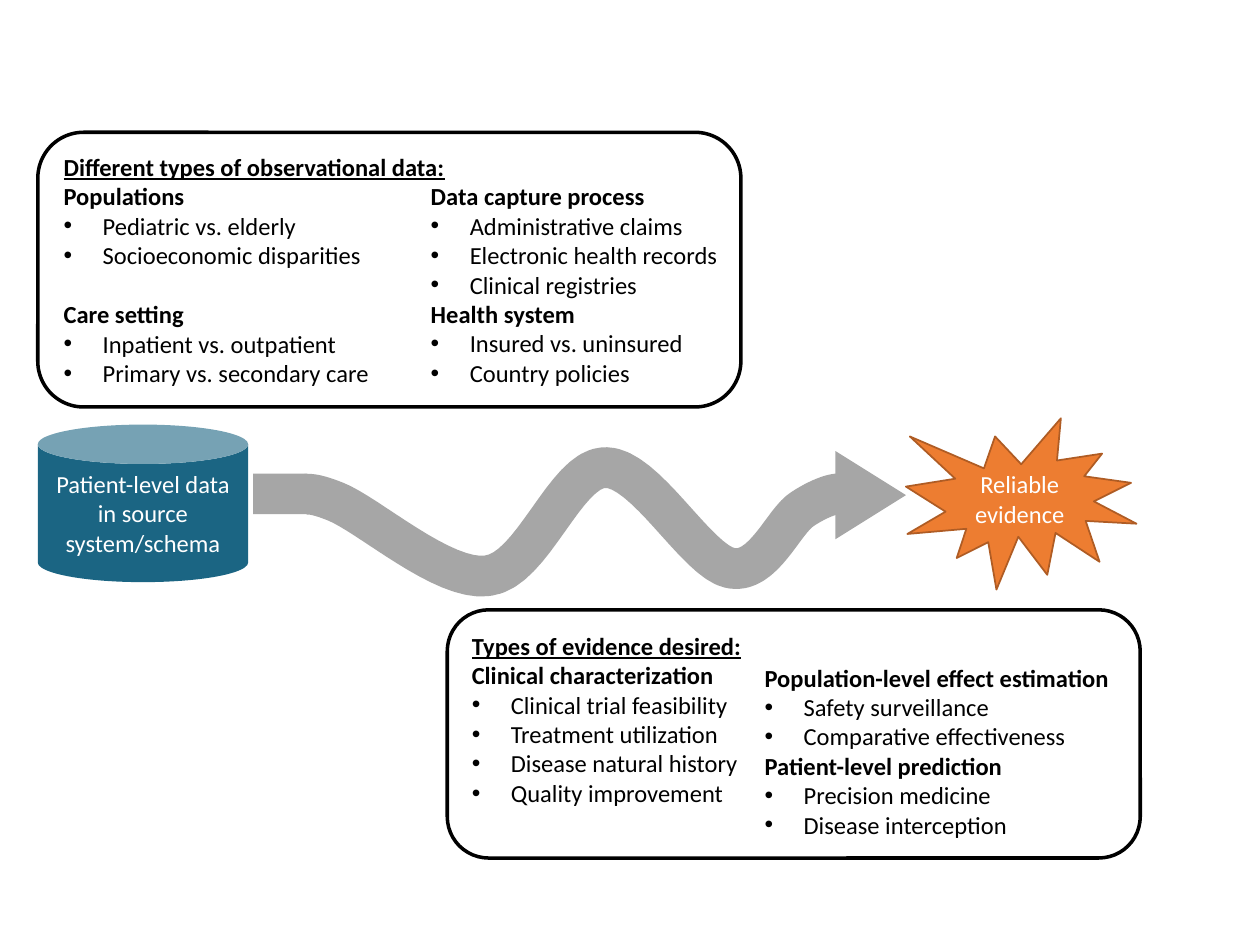
from lxml import etree
from pptx import Presentation
from pptx import util as u
from pptx.dml import color
from pptx.enum import shapes, text
from pptx.oxml import ns

Inches = u.Inches
SHAPE = shapes.MSO_SHAPE
COLORS = {"black": "000000", "white": "FFFFFF", "blue": "1B6583",
          "orange": "ED7D31", "rust": "AF5C24", "gray": "A6A6A6"}


def rgb(name):
    return color.RGBColor.from_string(COLORS[name])


def add_text(tf, value, ink="black", bold=False, underline=False, bullet=False,
             align=text.PP_ALIGN.LEFT, before=0):
    p = tf.paragraphs[0] if not tf.text else tf.add_paragraph()
    p.alignment = align
    p.space_before = u.Pt(before)
    r = p.add_run()
    r.text = value
    r.font.name, r.font.size = "Calibri", u.Pt(14)
    r.font.bold, r.font.underline = bold, underline
    r.font.color.rgb = rgb(ink)
    if bullet:
        pPr = p._p.get_or_add_pPr()
        pPr.set("marL", str(Inches(0.31)))
        pPr.set("indent", str(-Inches(0.31)))
        etree.SubElement(pPr, ns.qn("a:buFont"), typeface="Arial")
        etree.SubElement(pPr, ns.qn("a:buChar"), char="•")


prs = Presentation()
prs.slide_width, prs.slide_height = Inches(10), Inches(7.5)
s = prs.slides.add_slide(prs.slide_layouts[6])

panels = [
    ((0.3, 1.05, 5.58, 2.18), (3.32, 1.39, 3.15, 2.05), 0.05,
     "Different types of observational data:",
     [("Populations", 0, ["Pediatric vs. elderly", "Socioeconomic disparities"]),
      ("Care setting", 17, ["Inpatient vs. outpatient", "Primary vs. secondary care"])],
     [("Data capture process", 0, ["Administrative claims", "Electronic health records",
                                   "Clinical registries"]),
      ("Health system", 0, ["Insured vs. uninsured", "Country policies"])]),
    ((3.55, 4.84, 5.5, 1.97), (5.97, 5.21, 3.2, 1.51), 0.07,
     "Types of evidence desired:",
     [("Clinical characterization", 0, ["Clinical trial feasibility", "Treatment utilization",
                                        "Disease natural history", "Quality improvement"])],
     [("Population-level effect estimation", 0, ["Safety surveillance",
                                                 "Comparative effectiveness"]),
      ("Patient-level prediction", 0, ["Precision medicine", "Disease interception"])]),
]
for box, column, top, title, left_groups, right_groups in panels:
    sp = s.shapes.add_shape(SHAPE.ROUNDED_RECTANGLE, *map(Inches, box))
    sp.shadow.inherit = False
    sp.fill.solid()
    sp.fill.fore_color.rgb = rgb("white")
    sp.line.color.rgb = rgb("black")
    sp.line.width = u.Pt(2)
    sp.text_frame.margin_top = Inches(top)
    add_text(sp.text_frame, title, bold=True, underline=True)
    tb = s.shapes.add_textbox(*map(Inches, column))
    for tf, groups in ((sp.text_frame, left_groups), (tb.text_frame, right_groups)):
        tf.word_wrap = True
        tf.vertical_anchor = text.MSO_ANCHOR.TOP
        for heading, before, items in groups:
            add_text(tf, heading, bold=True, before=before)
            for item in items:
                add_text(tf, item, bullet=True)

start = (2.35, 3.98)
curves = [
    ((2.38, 3.93), (2.41, 3.88), (2.66, 3.98)),
    ((2.92, 4.08), (3.52, 4.62), (3.87, 4.57)),
    ((4.23, 4.53), (4.48, 3.72), (4.8, 3.71)),
    ((5.12, 3.7), (5.53, 4.46), (5.8, 4.51)),
    ((6.06, 4.56), (6.22, 4.13), (6.37, 4.04)),
    ((6.52, 3.94), (6.7, 3.88), (6.7, 3.95)),
]
steps = 16
points = [start]
for c1, c2, end in curves:
    origin = points[-1]
    for i in range(1, steps + 1):
        t = i / steps
        points.append(tuple(
            (1 - t) ** 3 * a + 3 * (1 - t) ** 2 * t * b + 3 * (1 - t) * t ** 2 * c + t ** 3 * d
            for a, b, c, d in zip(origin, c1, c2, end)))
wave_points = [(Inches(x), Inches(y)) for x, y in points]
builder = s.shapes.build_freeform(*wave_points[0])
builder.add_line_segments(wave_points[1:], close=False)
wave = builder.convert_to_shape()
wave.shadow.inherit = False
wave.fill.background()
wave.line.color.rgb = rgb("gray")
wave.line.width = u.Pt(23.25)

solids = [
    (SHAPE.CAN, (0.3, 3.37, 1.67, 1.25), "blue", None, 0,
     "Patient-level data in source system/schema"),
    (SHAPE.EXPLOSION1, (7.19, 3.32, 1.83, 1.36), "orange", "rust", 0, "Reliable evidence"),
    (SHAPE.RECTANGLE, (2.01, 3.76, 0.43, 0.32), "gray", None, 0, ""),
    (SHAPE.ISOSCELES_TRIANGLE, (6.56, 3.65, 0.7, 0.56), "gray", None, 90, ""),
]
for kind, box, fill, line, rotation, label in solids:
    sp = s.shapes.add_shape(kind, *map(Inches, box))
    sp.shadow.inherit = False
    sp.rotation = rotation
    sp.fill.solid()
    sp.fill.fore_color.rgb = rgb(fill)
    if line:
        sp.line.color.rgb = rgb(line)
        sp.line.width = u.Pt(1)
    else:
        sp.line.fill.background()
    if label:
        sp.text_frame.word_wrap = True
        sp.text_frame.vertical_anchor = text.MSO_ANCHOR.MIDDLE
        add_text(sp.text_frame, label, ink="white", align=text.PP_ALIGN.CENTER)

prs.save("out.pptx")
